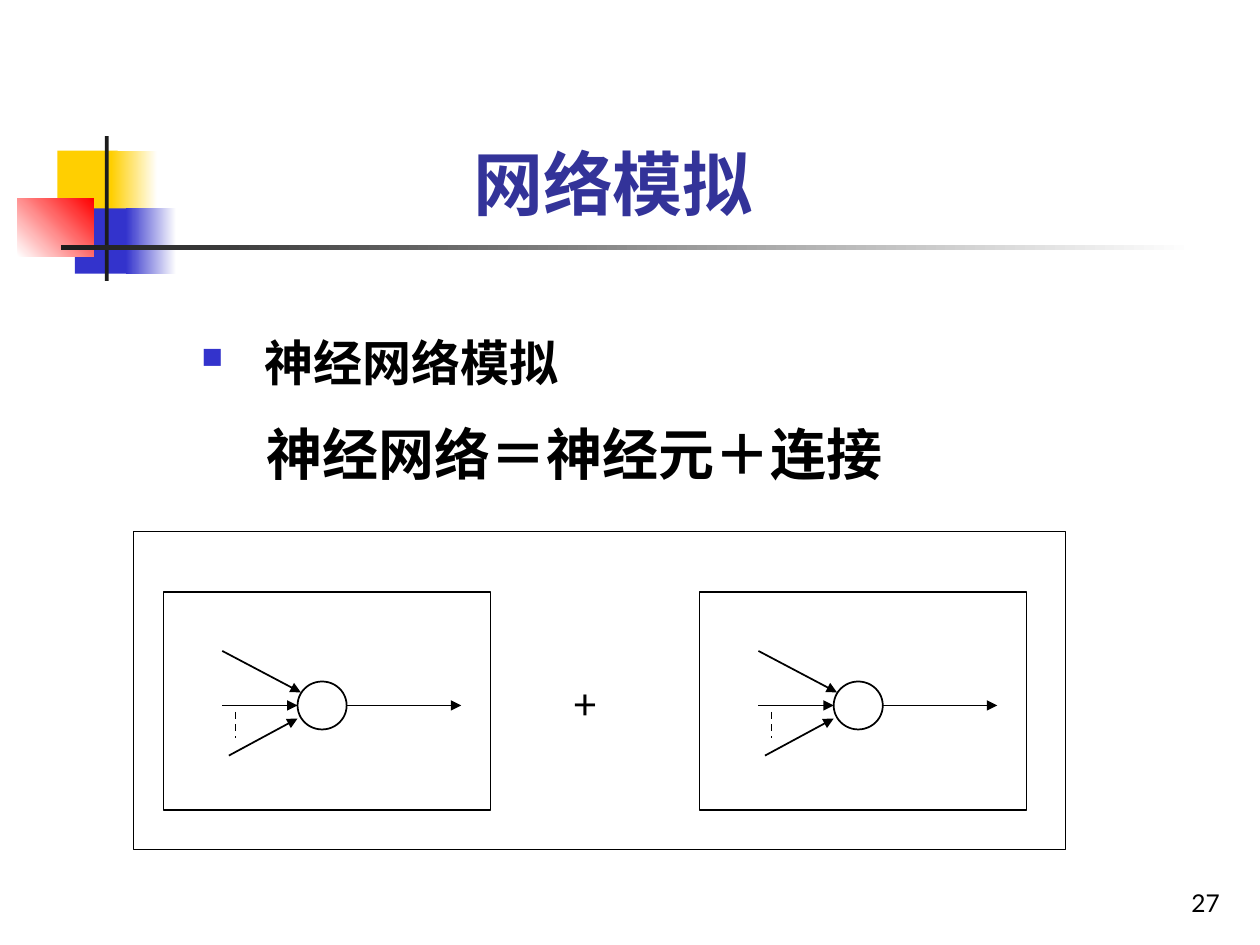
import pptx
import pptx.util
import pptx.dml.color
import pptx.enum.dml
import pptx.enum.shapes
import pptx.enum.text
import lxml.etree

COLORS = {
    "white": "FFFFFF", "black": "000000", "dark": "1C1C1C", "title": "333399",
    "yellow": "FFCF01", "blue": "3333CC", "red": "FF0000",
}
SLIDE_WIDTH, SLIDE_HEIGHT = 10, 7.5
SHAPES = pptx.enum.shapes.MSO_SHAPE
ALIGN = pptx.enum.text.PP_ALIGN
ANCHOR = pptx.enum.text.MSO_ANCHOR


def rgb(name):
    return pptx.dml.color.RGBColor.from_string(COLORS[name])


def inches(values):
    return [pptx.util.Inches(value) for value in values]


def within(box, shares):
    """Turn shares of a box into inches on the slide."""
    left, top, width, height = box
    x, y, *size = shares
    point = [left + x * width, top + y * height]
    return point + [share * side for share, side in zip(size, (width, height))]


def add_filled(slide, box, color, end_color=None, angle=0):
    shape = slide.shapes.add_shape(SHAPES.RECTANGLE, *inches(box))
    shape.shadow.inherit = False
    shape.line.fill.background()
    if end_color is None:
        shape.fill.solid()
        shape.fill.fore_color.rgb = rgb(color)
        return
    shape.fill.gradient()
    shape.fill.gradient_angle = angle
    for stop, name, position in zip(shape.fill.gradient_stops, (color, end_color), (0, 1)):
        stop.color.rgb = rgb(name)
        stop.position = position


def add_outline(shapes, kind, box, line_width):
    shape = shapes.add_shape(kind, *inches(box))
    shape.shadow.inherit = False
    shape.fill.background()
    shape.line.color.rgb = rgb("black")
    shape.line.width = pptx.util.Pt(line_width)


def add_line(shapes, start, end, arrow=True):
    connector = shapes.add_connector(
        pptx.enum.shapes.MSO_CONNECTOR.STRAIGHT, *inches([*start, *end]))
    connector.line.color.rgb = rgb("black")
    connector.line.width = pptx.util.Pt(1)
    properties = connector.line._get_or_add_ln()
    if arrow:
        lxml.etree.SubElement(properties, pptx.oxml.ns.qn("a:tailEnd"), type="triangle")
    else:
        connector.line.dash_style = pptx.enum.dml.MSO_LINE.DASH
    lxml.etree.SubElement(connector._element.spPr, pptx.oxml.ns.qn("a:effectLst"))


def format_text(shape, text, size, font="Lato", color="black", bold=False,
                align=ALIGN.LEFT, anchor=ANCHOR.TOP):
    frame = shape.text_frame
    frame.text = text
    frame.word_wrap = True
    frame.auto_size = pptx.enum.text.MSO_AUTO_SIZE.NONE
    frame.vertical_anchor = anchor
    paragraph = frame.paragraphs[0]
    paragraph.alignment = align
    run_font = paragraph.runs[0].font
    run_font.name, run_font.size, run_font.bold = font, pptx.util.Pt(size), bold
    run_font.color.rgb = rgb(color)
    return paragraph


def add_text(shapes, box, text, size, **style):
    return format_text(shapes.add_textbox(*inches(box)), text, size, **style)


def add_square_bullet(paragraph, color, percent):
    properties = paragraph._p.get_or_add_pPr()
    indent = pptx.util.Inches(0.5)
    properties.set("marL", str(indent))
    properties.set("indent", str(-indent))
    qn = pptx.oxml.ns.qn
    bullet_color = lxml.etree.SubElement(properties, qn("a:buClr"))
    lxml.etree.SubElement(bullet_color, qn("a:srgbClr"), val=COLORS[color])
    lxml.etree.SubElement(properties, qn("a:buSzPct"), val=str(percent * 1000))
    lxml.etree.SubElement(properties, qn("a:buChar"), char="■")


def add_decoration(slide, box):
    """Overlapping coloured squares crossed by a vertical bar and a fading rule."""
    parts = [
        ((0.25, 0.1, 0.38, 0.45), "yellow"),
        ((0.59, 0.1, 0.29, 0.45), "yellow", "white"),
        ((0.36, 0.5, 0.37, 0.45), "blue"),
        ((0.68, 0.5, 0.32, 0.45), "blue", "white"),
        ((0, 0.43, 0.48, 0.4), "white", "red", 45),
        ((0.55, 0, 0.024, 1), "dark"),
        ((0.27, 0.755, 7.14, 0.03), "dark", "white"),
    ]
    for shares, *paint in parts:
        add_filled(slide, within(box, shares), *paint)


def add_title(slide, box):
    title = slide.shapes.title
    title.left, title.top, title.width, title.height = inches(box)
    format_text(title, "网络模拟", 40, color="title", bold=True,
                align=ALIGN.CENTER, anchor=ANCHOR.BOTTOM)


def add_statements(slide, box):
    heading = add_text(slide.shapes, within(box, (0, 0, 0.61, 0.4)),
                       "神经网络模拟", 28, bold=True)
    add_square_bullet(heading, "blue", 60)
    add_text(slide.shapes, within(box, (0.09, 0.52, 0.91, 0.48)),
             "神经网络＝神经元＋连接", 32, font="Times New Roman", bold=True)


def add_neuron(shapes, box, lowest_input):
    """Framed neuron with three inputs, a dashed ellipsis and one output."""
    add_outline(shapes, SHAPES.OVAL, within(box, (0.41, 0.41, 0.15, 0.22)), 1)
    arrows = [
        ((0.18, 0.27), (0.42, 0.46)),
        ((0.18, 0.52), (0.41, 0.52)),
        ((lowest_input, 0.75), (0.41, 0.58)),
        ((0.56, 0.52), (0.91, 0.52)),
    ]
    for start, end in arrows:
        add_line(shapes, within(box, start), within(box, end))
    add_line(shapes, within(box, (0.22, 0.55)), within(box, (0.22, 0.67)), arrow=False)
    add_outline(shapes, SHAPES.RECTANGLE, box, 0.75)


def add_network(slide, box):
    shapes = slide.shapes.add_group_shape().shapes
    for left, lowest_input in ((0.032, 0.2), (0.607, 0.2)):
        add_neuron(shapes, within(box, (left, 0.19, 0.351, 0.687)), lowest_input)
    add_text(shapes, within(box, (0.458, 0.44, 0.085, 0.2)), "+", 24)
    add_outline(shapes, SHAPES.RECTANGLE, box, 0.75)


def add_page_number(slide, box):
    add_text(slide.shapes, box, "27", 14, align=ALIGN.RIGHT, anchor=ANCHOR.BOTTOM)


def main():
    presentation = pptx.Presentation()
    presentation.slide_width, presentation.slide_height = inches((SLIDE_WIDTH, SLIDE_HEIGHT))
    slide = presentation.slides.add_slide(presentation.slide_layouts[5])
    add_decoration(slide, (0.14, 1.08, 1.26, 1.15))
    add_page_number(slide, (7.7, 6.83, 2.08, 0.5))
    add_statements(slide, (1.5, 2.59, 5.76, 1.32))
    add_title(slide, (1.26, 0.23, 7.21, 1.6))
    add_network(slide, (1.06, 4.22, 7.4, 2.52))
    presentation.save("out.pptx")


if __name__ == "__main__":
    main()
